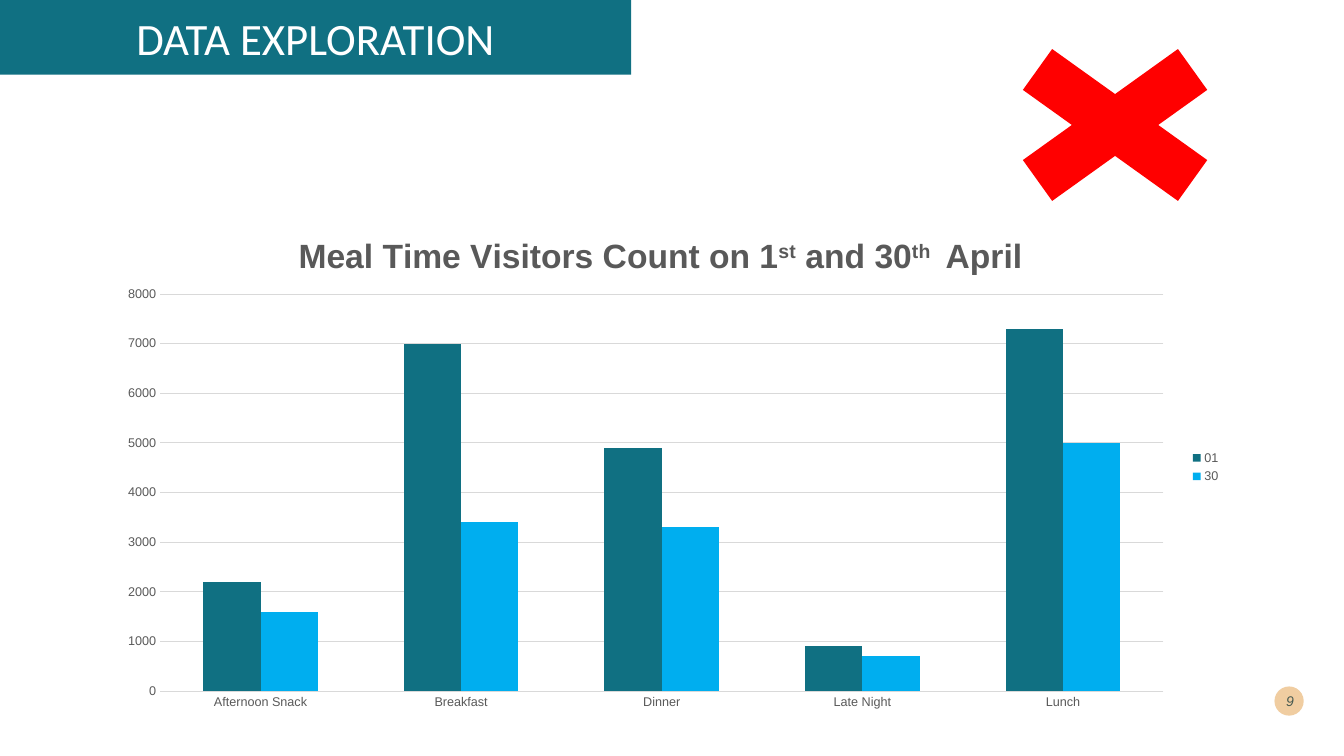
from dataclasses import dataclass

from lxml import etree
from pptx import Presentation
from pptx.chart.data import CategoryChartData
from pptx.dml.color import RGBColor
from pptx.enum.chart import XL_CHART_TYPE as ChartType
from pptx.enum.chart import XL_LEGEND_POSITION as LegendPosition
from pptx.enum.chart import XL_TICK_MARK as TickMark
from pptx.enum.shapes import MSO_SHAPE as Shape
from pptx.enum.text import MSO_ANCHOR as Anchor
from pptx.enum.text import PP_ALIGN as Align
from pptx.oxml import parse_xml
from pptx.oxml.ns import nsdecls, qn
from pptx.util import Inches, Pt


@dataclass(frozen=True)
class Theme:
    teal: str = "107082"
    blue: str = "00AEEF"
    red: str = "FF0000"
    sand: str = "F0CDA1"
    ink: str = "00292E"
    white: str = "FFFFFF"
    gray: str = "595959"
    rule: str = "D9D9D9"
    heading_font: str = "Calibri"
    body_font: str = "Arial"
    heading_size: int = 32
    title_size: int = 24
    number_size: int = 10
    label_size: int = 9


THEME = Theme()
MEALS = ["Afternoon Snack", "Breakfast", "Dinner", "Late Night", "Lunch"]
VISITORS = [
    ("01", [2200, 7000, 4900, 900, 7300], THEME.teal),
    ("30", [1600, 3400, 3300, 700, 5000], THEME.blue),
]
TITLE_RUNS = [
    ("Meal Time Visitors Count on 1", False),
    ("st", True),
    (" and 30", False),
    ("th ", True),
    (" April", False),
]


def style_font(font, size, color, name=THEME.body_font):
    font.name = name
    font.size = Pt(size)
    font.color.rgb = RGBColor.from_string(color)


def add_filled_shape(page, kind, place, color):
    shape = page.shapes.add_shape(kind, *map(Inches, place))
    shape.shadow.inherit = False
    shape.fill.solid()
    shape.fill.fore_color.rgb = RGBColor.from_string(color)
    shape.line.fill.background()
    return shape


def write_line(frame, text, align):
    frame.word_wrap = True
    frame.vertical_anchor = Anchor.MIDDLE
    para = frame.paragraphs[0]
    para.alignment = align
    span = para.add_run()
    span.text = text
    return span


def add_banner(page, text):
    banner = add_filled_shape(page, Shape.ROUNDED_RECTANGLE, (0, 0, 6.26, 0.74), THEME.teal)
    banner.adjustments[0] = 0
    span = write_line(banner.text_frame, text, Align.CENTER)
    style_font(span.font, THEME.heading_size, THEME.white, THEME.heading_font)


def add_page_number(page, text):
    add_filled_shape(page, Shape.OVAL, (12.64, 6.81, 0.29, 0.29), THEME.sand)
    box = page.shapes.add_textbox(*map(Inches, (12.54, 6.75, 0.39, 0.4)))
    span = write_line(box.text_frame, text, Align.RIGHT)
    style_font(span.font, THEME.number_size, THEME.ink)
    span.font.italic = True
    color = span.font.fill._xPr.find(qn("a:solidFill"))[0]
    etree.SubElement(color, qn("a:alpha"), val="70000")


def place_manually(parent, index, target=None, **fractions):
    for old in parent.findall(qn("c:layout")):
        parent.remove(old)
    layout = parse_xml(f"<c:layout {nsdecls('c')}><c:manualLayout/></c:layout>")
    manual = layout[0]
    if target:
        etree.SubElement(manual, qn("c:layoutTarget"), val=target)
    for axis in ("x", "y"):
        etree.SubElement(manual, qn(f"c:{axis}Mode"), val="edge")
    for name, value in fractions.items():
        etree.SubElement(manual, qn(f"c:{name}"), val=str(value))
    parent.insert(index, layout)


def add_chart_title(chart):
    title = chart.chart_title
    para = title.text_frame.paragraphs[0]
    for text, raised in TITLE_RUNS:
        span = para.add_run()
        span.text = text
        style_font(span.font, THEME.title_size, THEME.gray)
        span.font.bold = True
        if raised:
            span.font._element.set("baseline", "30000")
    title.include_in_layout = False
    place_manually(title._element, 1, x=0.17, y=0.04)


def style_axis(axis):
    axis.major_tick_mark = TickMark.NONE
    axis.minor_tick_mark = TickMark.NONE
    style_font(axis.tick_labels.font, THEME.label_size, THEME.gray)


def style_rule(line):
    line.color.rgb = RGBColor.from_string(THEME.rule)
    line.width = Pt(0.75)


def add_visitor_chart(page):
    data = CategoryChartData()
    data.categories = MEALS
    for day, counts, _ in VISITORS:
        data.add_series(day, counts)
    place = map(Inches, (1.03, 2.11, 11.18, 5.05))
    chart = page.shapes.add_chart(ChartType.COLUMN_CLUSTERED, *place, data).chart
    style_font(chart.font, THEME.number_size, "000000")
    add_chart_title(chart)

    plot = chart.plots[0]
    plot.vary_by_categories = False
    plot.gap_width = 150
    plot.overlap = 0
    for series, (_, _, color) in zip(plot.series, VISITORS):
        series.format.fill.solid()
        series.format.fill.fore_color.rgb = RGBColor.from_string(color)

    style_axis(chart.category_axis)
    style_rule(chart.category_axis.format.line)
    counts_axis = chart.value_axis
    style_axis(counts_axis)
    counts_axis.minimum_scale = 0
    counts_axis.maximum_scale = 8000
    counts_axis.major_unit = 1000
    counts_axis.format.line.fill.background()
    style_rule(counts_axis.major_gridlines.format.line)

    chart.has_legend = True
    chart.legend.position = LegendPosition.RIGHT
    chart.legend.include_in_layout = False
    style_font(chart.legend.font, THEME.label_size, THEME.gray)
    plot_area = chart._chartSpace.chart.plotArea
    place_manually(plot_area, 0, "inner", x=0.05, y=0.16, w=0.89, h=0.78)


def main():
    deck = Presentation()
    deck.slide_width = Inches(13.33)
    deck.slide_height = Inches(7.5)
    page = deck.slides.add_slide(deck.slide_layouts[6])
    add_page_number(page, "9")
    add_banner(page, "DATA EXPLORATION")
    add_visitor_chart(page)
    add_filled_shape(page, Shape.MATH_MULTIPLY, (9.58, 0.18, 2.96, 2.12), THEME.red)
    deck.save("out.pptx")


if __name__ == "__main__":
    main()
